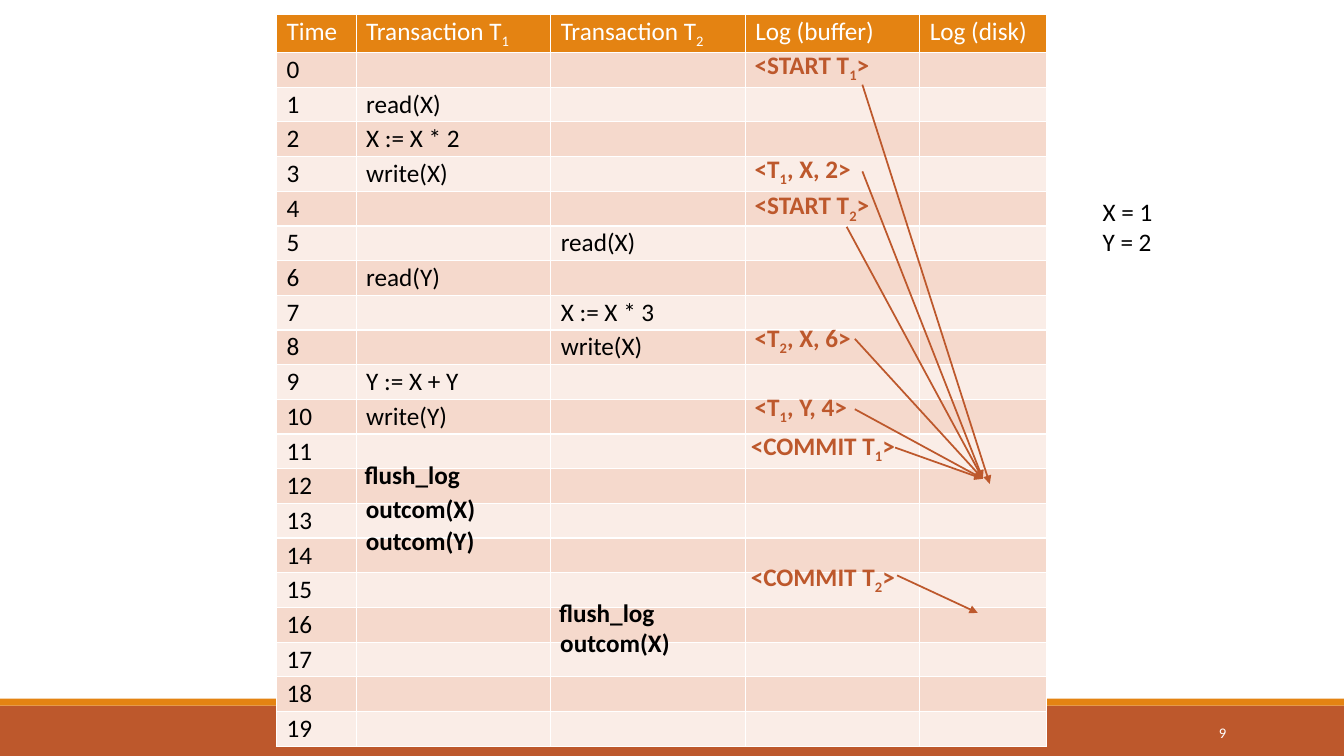
import lxml.etree
import pptx
import pptx.dml.color
import pptx.enum.shapes
import pptx.enum.text
import pptx.oxml.ns
import pptx.util

Pt = pptx.util.Pt
qn = pptx.oxml.ns.qn
COLORS = {"rust": "BD582C", "orange": "E48312", "white": "FFFFFF",
          "black": "000000", "dark band": "F5D9CC", "light band": "FAEDE7"}


def color(name):
    return pptx.dml.color.RGBColor.from_string(COLORS[name])


def write(paragraph, text, ink, bold=False, size=18):
    """Fill a paragraph; the parts of text between bars are subscripts."""
    for i, part in enumerate(text.split("|")):
        run = paragraph.add_run()
        run.text = part
        for key, value in {"name": "Calibri", "size": Pt(size), "bold": bold}.items():
            setattr(run.font, key, value)
        run.font.color.rgb = color(ink)
        if i % 2:
            run.font._element.set("baseline", "-25000")


deck = pptx.Presentation()
deck.slide_width, deck.slide_height = Pt(960), Pt(540)
slide = deck.slides.add_slide(deck.slide_layouts[6])
shapes = slide.shapes

# Footer bars and page number
for top, height, fill in [(504, 36, "rust"), (499, 5, "orange")]:
    bar = shapes.add_shape(pptx.enum.shapes.MSO_SHAPE.RECTANGLE,
                           0, Pt(top), Pt(960), Pt(height))
    bar.shadow.inherit = False
    bar.fill.solid()
    bar.fill.fore_color.rgb = color(fill)
    bar.line.fill.background()

page = shapes.add_textbox(Pt(780), Pt(508.5), Pt(103), Pt(29)).text_frame
page.word_wrap = True
page.vertical_anchor = pptx.enum.text.MSO_ANCHOR.MIDDLE
page.paragraphs[0].alignment = pptx.enum.text.PP_ALIGN.RIGHT
write(page.paragraphs[0], "9", "white", size=10.5)

# Schedule: one row per time step
headings = ["Time", "Transaction T|1", "Transaction T|2", "Log (buffer)", "Log (disk)"]
column_widths = [56.9, 139, 139, 124.6, 90.7]
T1, T2 = 1, 2
steps = {1: (T1, "read(X)"), 2: (T1, "X := X * 2"), 3: (T1, "write(X)"),
         5: (T2, "read(X)"), 6: (T1, "read(Y)"), 7: (T2, "X := X * 3"),
         8: (T2, "write(X)"), 9: (T1, "Y := X + Y"), 10: (T1, "write(Y)")}
rows = [headings]
for time in range(20):
    row = [str(time), "", "", "", ""]
    if time in steps:
        column, action = steps[time]
        row[column] = action
    rows.append(row)

schedule = shapes.add_table(len(rows), len(headings), Pt(197.5), Pt(10.1),
                            Pt(sum(column_widths)), Pt(523.2)).table
for column, width in zip(schedule.columns, column_widths):
    column.width = Pt(width)
for r, row in enumerate(rows):
    schedule.rows[r].height = Pt(24.8 if r else 27.2)
    band = ("dark band" if r % 2 else "light band") if r else "orange"
    for c, text in enumerate(row):
        cell = schedule.cell(r, c)
        cell.margin_left = cell.margin_right = Pt(7.2)
        cell.margin_top = cell.margin_bottom = Pt(1.44)
        cell.fill.solid()
        cell.fill.fore_color.rgb = color(band)
        if text:
            write(cell.text_frame.paragraphs[0], text, "black" if r else "white")

# Starting values
values = shapes.add_textbox(Pt(780.5), Pt(136.8), Pt(50.4), Pt(51)).text_frame
values.word_wrap = False
write(values.paragraphs[0], "X = 1", "black")
write(values.add_paragraph(), "Y = 2", "black")

# Arrows from buffered log records to the disk log
first_flush = (702, 342)
flushes = [((616, 60.5), (707, 345.6)), ((616, 122.4), first_flush),
           ((604.8, 162), first_flush), ((610.6, 242), first_flush),
           ((610.6, 292.3), first_flush), ((639.4, 319.7), first_flush),
           ((640.8, 411), (698.4, 437.8))]
for start, end in flushes:
    arrow = shapes.add_connector(pptx.enum.shapes.MSO_CONNECTOR.STRAIGHT,
                                 *map(Pt, start + end))
    arrow.line.color.rgb = color("rust")
    arrow.line.width = Pt(1.25)
    lxml.etree.SubElement(arrow.line._get_or_add_ln(), qn("a:tailEnd"), type="triangle")
    lxml.etree.SubElement(arrow._element.spPr, qn("a:effectLst"))

# Log records and flush actions laid over the schedule
entries = [
    ("<START T|1|>", 532, 31.7, 102, "rust"),
    ("<T|1|, X, 2>", 532, 105.8, 102, "rust"),
    ("<START T|2|>", 532, 131.8, 102, "rust"),
    ("<T|2|, X, 6>", 532, 226.8, 102, "rust"),
    ("<T|1|, Y, 4>", 532, 275.8, 102, "rust"),
    ("<COMMIT T|1|>", 529.2, 303.8, 124, "rust"),
    ("<COMMIT T|2|>", 529.2, 397.4, 124, "rust"),
    ("flush_log", 253.4, 324.7, 91, "black"),
    ("outcom(X)", 254.2, 348.5, 100, "black"),
    ("outcom(Y)", 254.2, 371.5, 113, "black"),
    ("flush_log", 392.4, 423.4, 91, "black"),
    ("outcom(X)", 393.1, 444.2, 103, "black"),
]
for text, left, top, width, ink in entries:
    entry = shapes.add_textbox(Pt(left), Pt(top), Pt(width), Pt(29)).text_frame
    entry.word_wrap = True
    write(entry.paragraphs[0], text, ink, bold=True)

deck.save("out.pptx")
